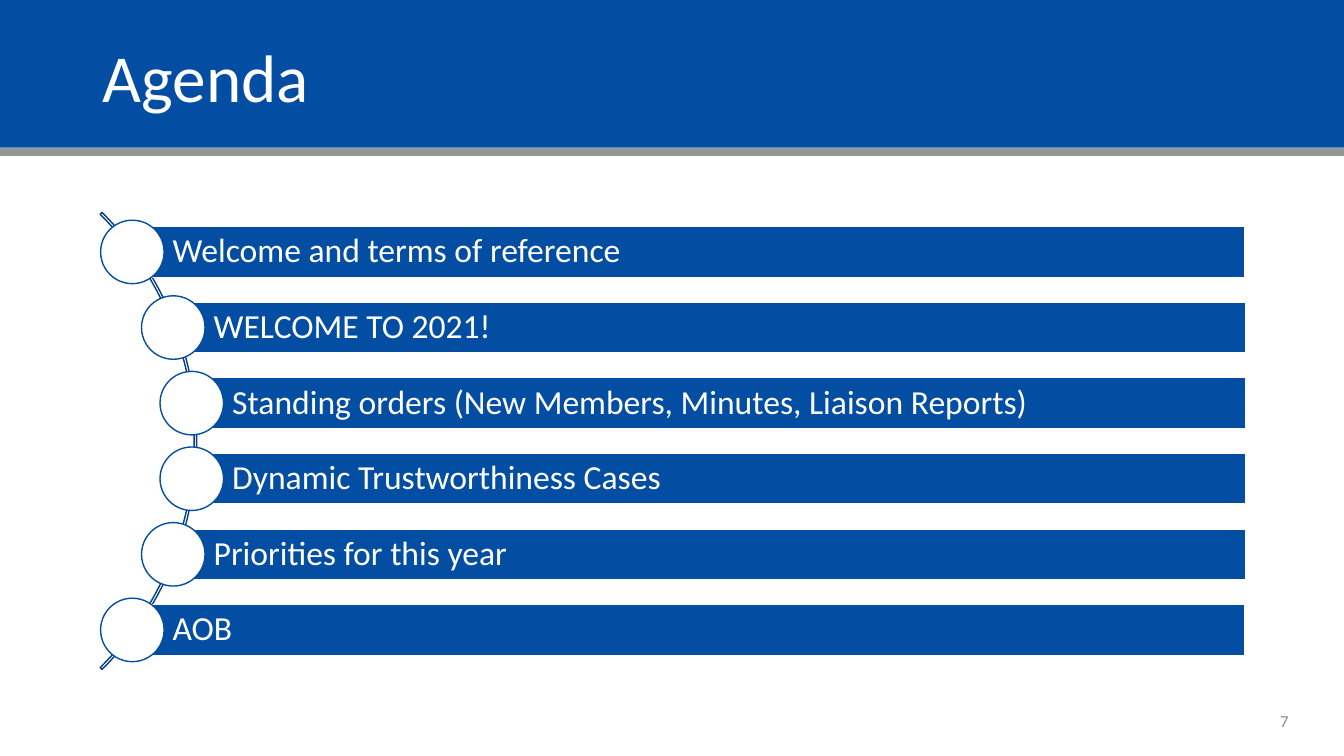
import math
from dataclasses import dataclass

from lxml import etree
from pptx import Presentation
from pptx import util as u
from pptx.dml.color import RGBColor
from pptx.enum import shapes, text
from pptx.oxml.ns import qn


@dataclass(frozen=True)
class Theme:
    font: str = "Calibri"
    blue: str = "034EA2"
    navy: str = "023E82"
    gray: str = "939598"
    muted: str = "8C8C8C"
    white: str = "FFFFFF"
    title: int = 48
    body: int = 24
    small: int = 12


THEME = Theme()
WIDTH, HEIGHT = u.Inches(13.33), u.Inches(7.5)
AGENDA = (
    "Welcome and terms of reference",
    "WELCOME TO 2021!",
    "Standing orders (New Members, Minutes, Liaison Reports)",
    "Dynamic Trustworthiness Cases",
    "Priorities for this year",
    "AOB",
)


def share(x, y, w, h):
    sizes = (WIDTH, HEIGHT, WIDTH, HEIGHT)
    return [int(size * part / 100) for size, part in zip(sizes, (x, y, w, h))]


def write(sp, words, size, color, align=text.PP_ALIGN.LEFT, spacing=None, insets=None):
    tf = sp.text_frame
    tf.word_wrap = True
    tf.vertical_anchor = text.MSO_ANCHOR.MIDDLE
    if insets:
        tf.margin_left, tf.margin_top, tf.margin_right, tf.margin_bottom = map(u.Inches, insets)
    p = tf.paragraphs[0]
    p.alignment = align
    p.line_spacing = spacing
    r = p.add_run()
    r.text = words
    r.font.name = THEME.font
    r.font.size = u.Pt(size)
    r.font.color.rgb = RGBColor.from_string(color)


def draw(slide, kind, box, fill=None, line=None):
    sp = slide.shapes.add_shape(kind, *map(int, box))
    sp.shadow.inherit = False
    if fill:
        sp.fill.solid()
        sp.fill.fore_color.rgb = RGBColor.from_string(fill)
    else:
        sp.fill.background()
    if line:
        sp.line.color.rgb = RGBColor.from_string(line)
        sp.line.width = u.Pt(1)
    else:
        sp.line.fill.background()
    return sp


def header(slide, box, words):
    x, y, w, h = box
    draw(slide, shapes.MSO_SHAPE.RECTANGLE, (x, y, w, h * 0.97), THEME.blue)
    rule = slide.shapes.add_connector(shapes.MSO_CONNECTOR.STRAIGHT, x, y + h, x + w, y + h)
    rule.line.color.rgb = RGBColor.from_string(THEME.gray)
    rule.line.width = u.Pt(6)
    etree.SubElement(rule._element.spPr, qn("a:effectLst"))

    title = slide.shapes.title
    title.left, title.top = int(x + w * 0.069), int(y + h * 0.05)
    title.width, title.height = int(w * 0.863), int(h * 0.96)
    write(title, words, THEME.title, THEME.white, spacing=0.9)
    slide.shapes._spTree.append(title._element)


def agenda(slide, box, items):
    x, y, w, h = box
    step = h / len(items)
    center_x, center_y = x - step * 2.9, y + h / 2
    orbit, diameter = step * 4.24, step * 8.55
    bar, dot = step * 0.67, step * 0.84

    arc = draw(slide, shapes.MSO_SHAPE.BLOCK_ARC,
               (center_x - diameter / 2, center_y - diameter / 2, diameter, diameter),
               line=THEME.navy)
    for i, value in enumerate((189, 27, 0.004)):
        arc.adjustments[i] = value

    for i, item in enumerate(items):
        cy = y + step * (i + 0.5)
        cx = center_x + math.sqrt(orbit ** 2 - (cy - center_y) ** 2)
        sp = draw(slide, shapes.MSO_SHAPE.RECTANGLE,
                  (cx, cy - bar / 2, x + w - cx, bar), THEME.blue, THEME.white)
        write(sp, item, THEME.body, THEME.white, spacing=0.9, insets=(0.4, 0.07, 0.07, 0.07))
        draw(slide, shapes.MSO_SHAPE.OVAL,
             (cx - dot / 2, cy - dot / 2, dot, dot), THEME.white, THEME.blue)


def page_number(slide, box, number):
    sp = slide.shapes.add_textbox(*box)
    write(sp, number, THEME.small, THEME.muted, align=text.PP_ALIGN.CENTER)


def main():
    prs = Presentation()
    prs.slide_width, prs.slide_height = WIDTH, HEIGHT
    slide = prs.slides.add_slide(prs.slide_layouts[5])
    header(slide, share(0, 0, 100, 20.13), "Agenda")
    agenda(slide, share(6.9, 28.33, 85.75, 60), AGENDA)
    page_number(slide, share(93.17, 92.67, 4.8, 5.33), "7")
    prs.save("out.pptx")


if __name__ == "__main__":
    main()
